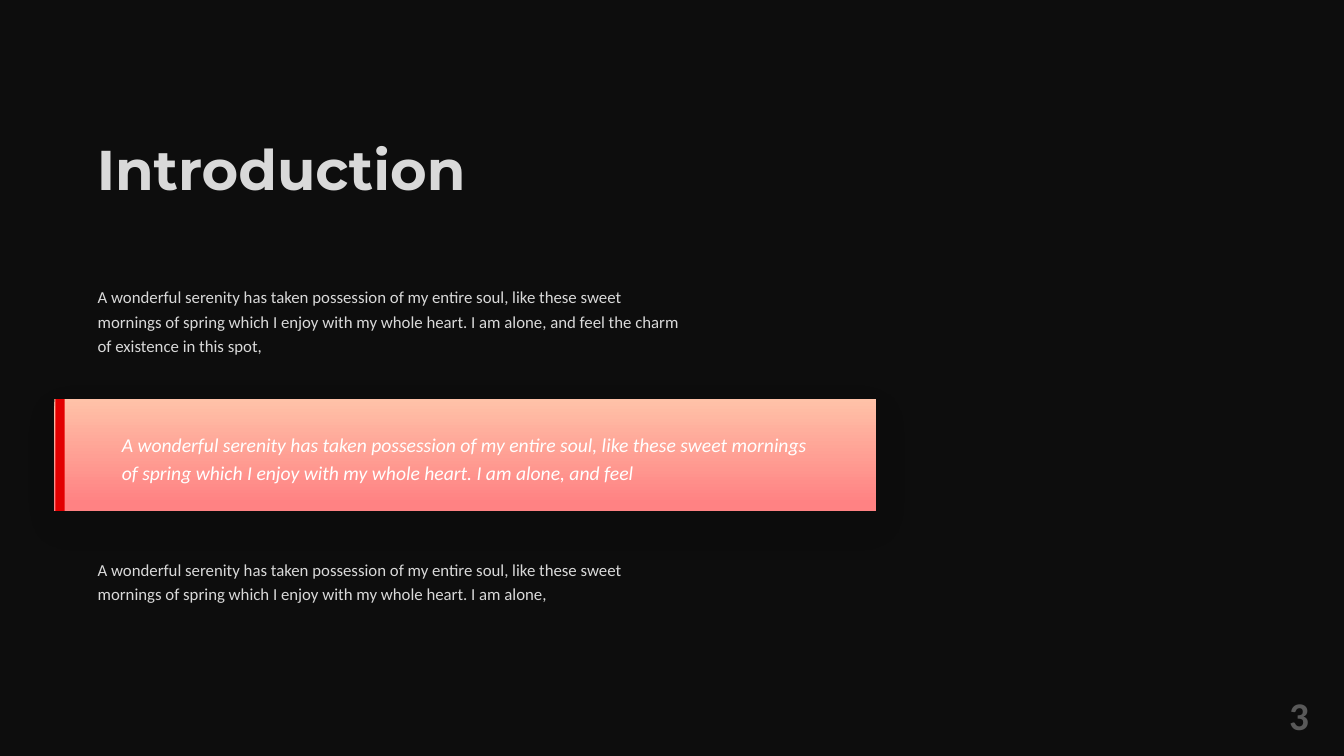
import dataclasses
import lxml.etree
import pptx
import pptx.dml.color
import pptx.enum.shapes
import pptx.enum.text
import pptx.oxml.ns
import pptx.util

Inches = pptx.util.Inches
ALIGN = pptx.enum.text.PP_ALIGN
COLORS = {
    "back": "0D0D0D",
    "text": "D9D9D9",
    "page": "595959",
    "quote": "FFFFFF",
    "accent": "E20001",
    "peach": "FFC2A8",
    "coral": "FF8283",
    "shade": "000000",
}


@dataclasses.dataclass
class Label:
    """Text with its place and style."""
    text: str
    left: float
    top: float
    width: float
    height: float
    size: int = 12
    color: str = "text"
    font: str = "Calibri"
    bold: bool = False
    italic: bool = False
    space: float = 1.2
    align: ALIGN = ALIGN.LEFT


TITLE = Label("Introduction", 0.86, 1.41, 4.65, 0.64, 40,
              font="Montserrat", bold=True, space=0.8)
QUOTE = Label(
    "A wonderful serenity has taken possession of my entire soul, like these "
    "sweet mornings of spring which I enjoy with my whole heart. I am alone, "
    "and feel", 1.11, 4.2, 7.03, 0.65, 14, "quote", italic=True)
LABELS = [
    Label("A wonderful serenity has taken possession of my entire soul, like "
          "these sweet mornings of spring which I enjoy with my whole heart. "
          "I am alone, and feel the charm of existence in this spot,",
          0.87, 2.76, 6.04, 0.81),
    Label("A wonderful serenity has taken possession of my entire soul, like "
          "these sweet mornings of spring which I enjoy with my whole heart. "
          "I am alone,", 0.87, 5.46, 6.04, 0.57),
    Label("3", 11.48, 6.81, 1.6, 0.57, 28, "page", bold=True, space=1,
          align=ALIGN.RIGHT),
]


def tint(name: str) -> pptx.dml.color.RGBColor:
    """Return a named color."""
    return pptx.dml.color.RGBColor.from_string(COLORS[name])


def write(shape, label: Label) -> None:
    """Place and format the text of a label."""
    shape.left, shape.top = Inches(label.left), Inches(label.top)
    shape.width, shape.height = Inches(label.width), Inches(label.height)
    frame = shape.text_frame
    frame.text = label.text
    frame.word_wrap = True
    frame.auto_size = pptx.enum.text.MSO_AUTO_SIZE.SHAPE_TO_FIT_TEXT
    frame.vertical_anchor = pptx.enum.text.MSO_ANCHOR.TOP
    para = frame.paragraphs[0]
    para.alignment = label.align
    para.line_spacing = label.space
    font = para.runs[0].font
    font.name, font.size = label.font, pptx.util.Pt(label.size)
    font.bold, font.italic = label.bold, label.italic
    font.color.rgb = tint(label.color)


def add_text(shapes, label: Label) -> None:
    """Add a text box for a label."""
    write(shapes.add_textbox(0, 0, 0, 0), label)


def add_bar(shapes, left: float, width: float):
    """Add a plain bar at the height of the quote."""
    bar = shapes.add_shape(
        pptx.enum.shapes.MSO_SHAPE.RECTANGLE,
        Inches(left), Inches(3.96), Inches(width), Inches(1.11))
    bar.shadow.inherit = False
    bar.line.fill.background()
    return bar


def add_shade(shape) -> None:
    """Give a shape a soft shadow below."""
    qn = pptx.oxml.ns.qn
    list_ = shape.fill._xPr.find(qn("a:effectLst"))
    shade = lxml.etree.SubElement(
        list_, qn("a:outerShdw"), blurRad=str(pptx.util.Pt(25)),
        dist=str(pptx.util.Pt(9)), dir="5400000", algn="t", rotWithShape="0")
    color = lxml.etree.SubElement(shade, qn("a:srgbClr"), val=COLORS["shade"])
    lxml.etree.SubElement(color, qn("a:alpha"), val="5000")


def add_quote(shapes) -> None:
    """Add the quote on its panel with an accent edge."""
    group = shapes.add_group_shape().shapes
    panel = add_bar(group, 0.54, 8.15)
    panel.fill.gradient()
    panel.fill.gradient_angle = 270
    stops = panel.fill.gradient_stops
    for stop, name, place in zip(stops, ("peach", "coral"), (0, 0.93)):
        stop.color.rgb = tint(name)
        stop.position = place
    add_shade(panel)
    edge = add_bar(group, 0.55, 0.09)
    edge.fill.solid()
    edge.fill.fore_color.rgb = tint("accent")
    add_text(group, QUOTE)


def main() -> None:
    """Build and save the slide."""
    deck = pptx.Presentation()
    deck.slide_width, deck.slide_height = Inches(13.33), Inches(7.5)
    slide = deck.slides.add_slide(deck.slide_layouts[5])
    slide.background.fill.solid()
    slide.background.fill.fore_color.rgb = tint("back")
    write(slide.shapes.title, TITLE)
    for label in LABELS:
        add_text(slide.shapes, label)
    add_quote(slide.shapes)
    deck.save("out.pptx")


if __name__ == "__main__":
    main()
